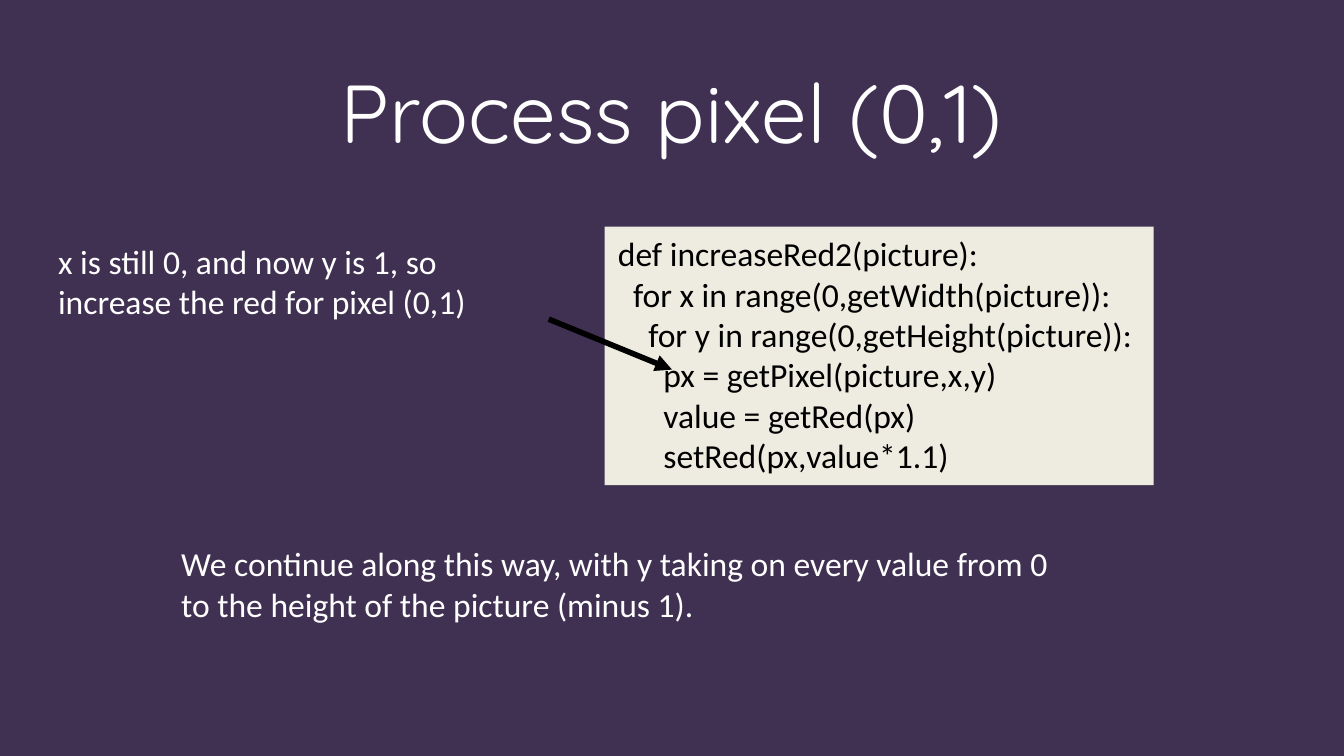
from lxml.etree import SubElement
from pptx import Presentation
from pptx.dml.color import RGBColor
from pptx.enum.shapes import MSO_CONNECTOR, MSO_SHAPE
from pptx.enum.text import MSO_ANCHOR, MSO_AUTO_SIZE, PP_ALIGN
from pptx.oxml.ns import qn
from pptx.util import Pt

COLORS = {"background": "403152", "light": "FFFFFF", "panel": "EEECE1", "ink": "000000"}
TITLE_FONT = {"name": "Quicksand", "size": Pt(44)}
BODY_FONT = {"name": "Calibri", "size": Pt(18)}
TITLE_FRAME = {"word_wrap": True, "vertical_anchor": MSO_ANCHOR.MIDDLE}
NOTE_FRAME = {"word_wrap": True, "vertical_anchor": MSO_ANCHOR.TOP,
              "auto_size": MSO_AUTO_SIZE.SHAPE_TO_FIT_TEXT}
CODE_FRAME = {**NOTE_FRAME, "word_wrap": False}

CODE_LINES = [
    "def increaseRed2(picture):",
    "  for x in range(0,getWidth(picture)):",
    "    for y in range(0,getHeight(picture)):",
    "      px = getPixel(picture,x,y)",
    "      value = getRed(px)",
    "      setRed(px,value*1.1)",
]


def color(key):
    return RGBColor.from_string(COLORS[key])


def apply_format(target, values):
    for attribute, value in values.items():
        setattr(target, attribute, value)


def write_lines(frame, lines, frame_format, font_format, ink, align=PP_ALIGN.LEFT):
    apply_format(frame, frame_format)
    for index, line in enumerate(lines):
        paragraph = frame.paragraphs[0] if index == 0 else frame.add_paragraph()
        paragraph.text = line
        paragraph.alignment = align
        apply_format(paragraph.font, font_format)
        paragraph.font.color.rgb = color(ink)


def add_title(slide, box, wording):
    title = slide.shapes.add_textbox(*map(Pt, box))
    write_lines(title.text_frame, [wording], TITLE_FRAME, TITLE_FONT, "light", PP_ALIGN.CENTER)


def add_note(slide, box, wording):
    note = slide.shapes.add_textbox(*map(Pt, box))
    write_lines(note.text_frame, [wording], NOTE_FRAME, BODY_FONT, "light")


def add_code_panel(slide, box, lines):
    panel = slide.shapes.add_shape(MSO_SHAPE.RECTANGLE, *map(Pt, box))
    panel.shadow.inherit = False
    panel.fill.solid()
    panel.fill.fore_color.rgb = color("panel")
    panel.line.fill.background()
    write_lines(panel.text_frame, lines, CODE_FRAME, BODY_FONT, "ink")


def add_arrow(slide, start, end):
    arrow = slide.shapes.add_connector(MSO_CONNECTOR.STRAIGHT, *map(Pt, start + end))
    arrow.line.width = Pt(3)
    arrow.line.color.rgb = color("ink")
    SubElement(arrow.line._get_or_add_ln(), qn("a:tailEnd"), type="triangle")
    SubElement(arrow._element.spPr, qn("a:effectLst"))


def main():
    presentation = Presentation()
    apply_format(presentation, {"slide_width": Pt(720), "slide_height": Pt(405)})
    slide = presentation.slides.add_slide(presentation.slide_layouts[6])
    slide.background.fill.solid()
    slide.background.fill.fore_color.rgb = color("background")

    add_title(slide, (36, 25.5, 648, 67.5), "Process pixel (0,1)")
    add_code_panel(slide, (324, 121.5, 294, 138.5), CODE_LINES)
    add_note(slide, (24, 125.5, 264, 51),
             "x is still 0, and now y is 1, so increase the red for pixel (0,1)")
    add_arrow(slide, (294, 171), (360, 198))
    add_note(slide, (90, 287.5, 480, 51),
             "We continue along this way, with y taking on every value from 0 "
             "to the height of the picture (minus 1).")
    presentation.save("out.pptx")


if __name__ == "__main__":
    main()
